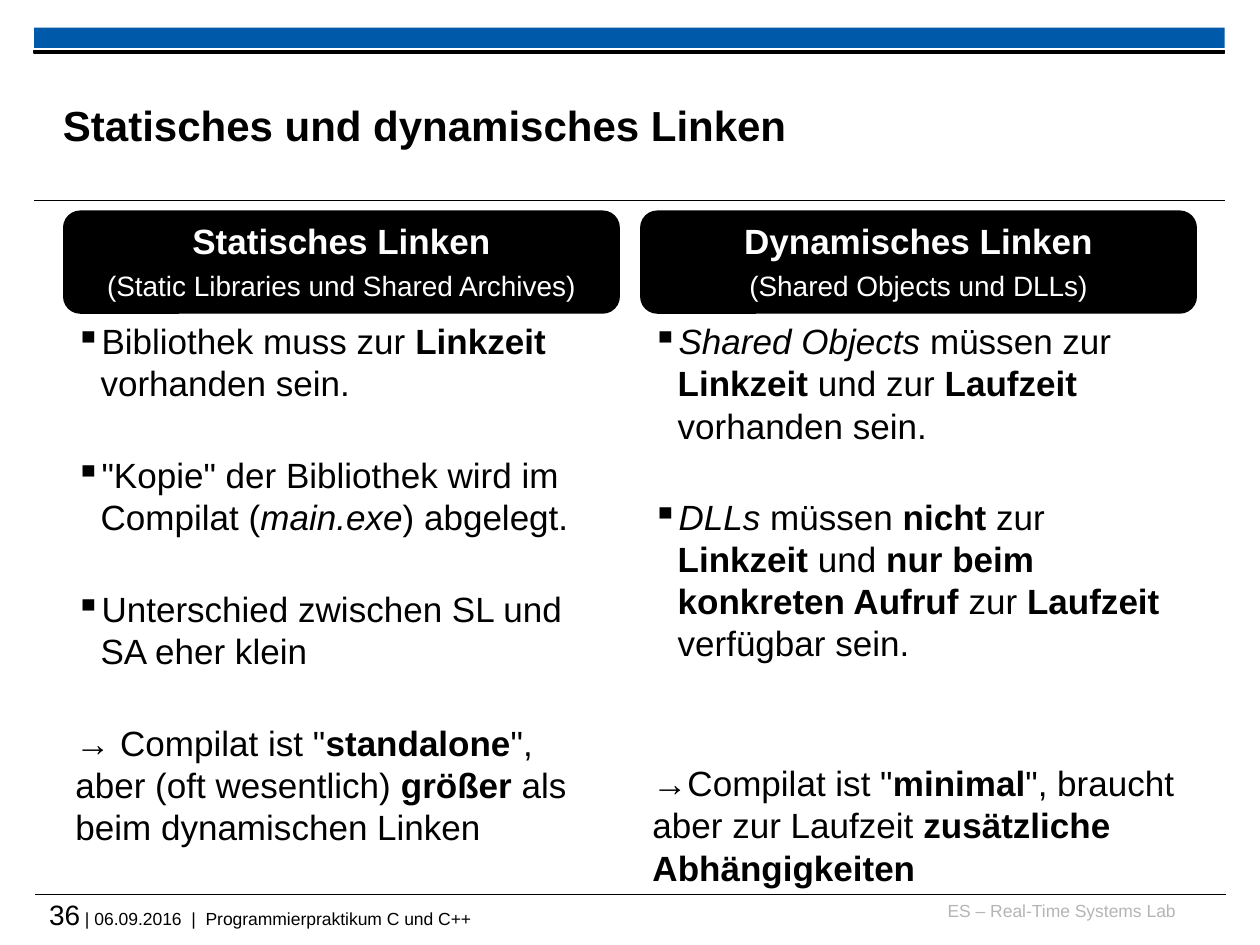
from dataclasses import dataclass

from lxml.etree import SubElement
from pptx import Presentation
from pptx.dml.color import RGBColor
from pptx.enum.shapes import MSO_CONNECTOR, MSO_SHAPE
from pptx.enum.text import MSO_ANCHOR, PP_ALIGN
from pptx.oxml.ns import qn
from pptx.util import Inches, Pt

BLACK = RGBColor(0x00, 0x00, 0x00)
WHITE = RGBColor(0xFF, 0xFF, 0xFF)
BLUE = RGBColor(0x00, 0x5A, 0xA9)
GRAY = RGBColor(0xB5, 0xB5, 0xB5)

WIDE, GAP = 4.42, 0.16
LEFT, HEAD, BODY = 0.5, 1.67, 2.49


@dataclass
class Item:
    text: str  # *bold* and _italic_
    before: float = 0
    bullet: bool = True


@dataclass
class Column:
    title: str
    note: str
    items: list[Item]


COLUMNS = [
    Column("Statisches Linken", "(Static Libraries und Shared Archives)", [
        Item("Bibliothek muss zur *Linkzeit* vorhanden sein."),
        Item('"Kopie" der Bibliothek wird im Compilat (_main.exe_) abgelegt.', 28.5),
        Item("Unterschied zwischen SL und SA eher klein", 28.5),
        Item('→ Compilat ist "*standalone*", aber (oft wesentlich) *größer* als '
             "beim dynamischen Linken", 28.5, False),
    ]),
    Column("Dynamisches Linken", "(Shared Objects und DLLs)", [
        Item("_Shared Objects_ müssen zur *Linkzeit* und zur *Laufzeit* vorhanden sein."),
        Item("_DLLs_ müssen *nicht* zur *Linkzeit* und *nur beim konkreten Aufruf* "
             "zur *Laufzeit* verfügbar sein.", 28.5),
        Item('→Compilat ist "*minimal*", braucht aber zur Laufzeit '
             "*zusätzliche Abhängigkeiten*", 56, False),
    ]),
]


def style(font, size: float, color: RGBColor, **more) -> None:
    for key, val in {"name": "Arial", "size": Pt(size), **more}.items():
        setattr(font, key, val)
    font.color.rgb = color


def write(para, text: str, size: float, color: RGBColor = BLACK, **more) -> None:
    run = para.add_run()
    run.text = text
    style(run.font, size, color, **more)


def add_text(slide, x: float, y: float, w: float, h: float, pad: float = 0):
    frame = slide.shapes.add_textbox(Inches(x), Inches(y), Inches(w), Inches(h)).text_frame
    form = {"word_wrap": True, "margin_left": Inches(pad), "margin_right": Inches(pad),
            "margin_top": Inches(pad / 2), "margin_bottom": Inches(pad / 2)}
    for key, val in form.items():
        setattr(frame, key, val)
    return frame


def add_box(slide, kind, x: float, y: float, w: float, h: float, color: RGBColor):
    box = slide.shapes.add_shape(kind, Inches(x), Inches(y), Inches(w), Inches(h))
    box.shadow.inherit = False
    box.fill.solid()
    box.fill.fore_color.rgb = color
    box.line.fill.background()
    return box


def add_line(slide, x: float, y: float, w: float) -> None:
    line = slide.shapes.add_connector(
        MSO_CONNECTOR.STRAIGHT, Inches(x), Inches(y), Inches(x + w), Inches(y))
    line.line.color.rgb = BLACK
    line.line.width = Pt(0.6)
    SubElement(line._element.spPr, qn("a:effectLst"))


def add_item(para, item: Item) -> None:
    if item.bullet:
        props = para._p.get_or_add_pPr()
        props.set("marL", str(Inches(0.2)))
        props.set("indent", str(Inches(-0.2)))
        SubElement(props, qn("a:buChar"), char="▪")
    para.space_before = Pt(item.before)
    para.line_spacing = Pt(24)
    for i, part in enumerate(item.text.split("*")):
        for j, bit in enumerate(part.split("_")):
            if bit:
                write(para, bit, 20, bold=i % 2 == 1, italic=j % 2 == 1)


def add_column(slide, x: float, col: Column) -> None:
    # Header
    box = add_box(slide, MSO_SHAPE.ROUNDED_RECTANGLE, x, HEAD, WIDE, BODY - HEAD, BLACK)
    frame = box.text_frame
    frame.word_wrap = True
    frame.vertical_anchor = MSO_ANCHOR.BOTTOM
    top, sub = frame.paragraphs[0], frame.add_paragraph()
    top.alignment = sub.alignment = PP_ALIGN.CENTER
    sub.space_before = Pt(4)
    write(top, col.title, 20, WHITE, bold=True)
    write(sub, col.note, 16, WHITE)

    # Points
    frame = add_text(slide, x, BODY, WIDE, 4.32, 0.1)
    for i, item in enumerate(col.items):
        add_item(frame.add_paragraph() if i else frame.paragraphs[0], item)


def main() -> None:
    deck = Presentation()
    deck.slide_width, deck.slide_height = Inches(10), Inches(7.5)
    slide = deck.slides.add_slide(deck.slide_layouts[6])

    # Bars and rules
    add_box(slide, MSO_SHAPE.RECTANGLE, 0.27, 0.22, 9.45, 0.16, BLUE)
    bar = add_box(slide, MSO_SHAPE.RECTANGLE, 0.27, 0.4, 9.45, 0.02, BLACK)
    bar.line.color.rgb = BLACK
    bar.line.width = Pt(0.75)
    add_line(slide, 0.27, 1.59, 9.45)
    add_line(slide, 0.28, 7.1, 9.45)

    # Title
    frame = add_text(slide, LEFT, 0.52, 9, 0.94)
    frame.vertical_anchor = MSO_ANCHOR.MIDDLE
    write(frame.paragraphs[0], "Statisches und dynamisches Linken", 24, bold=True)

    # Columns
    for i, col in enumerate(COLUMNS):
        add_column(slide, LEFT + i * (WIDE + GAP), col)

    # Footer
    para = add_text(slide, 7.36, 7.14, 1.97, 0.25).paragraphs[0]
    para.alignment = PP_ALIGN.RIGHT
    write(para, "ES – Real-Time Systems Lab", 10, GRAY)
    para = add_text(slide, 0.39, 7.12, 9.33, 0.33).paragraphs[0]
    write(para, "36", 16)
    write(para, " | 06.09.2016  |  Programmierpraktikum C und C++", 10)

    deck.save("out.pptx")


if __name__ == "__main__":
    main()
